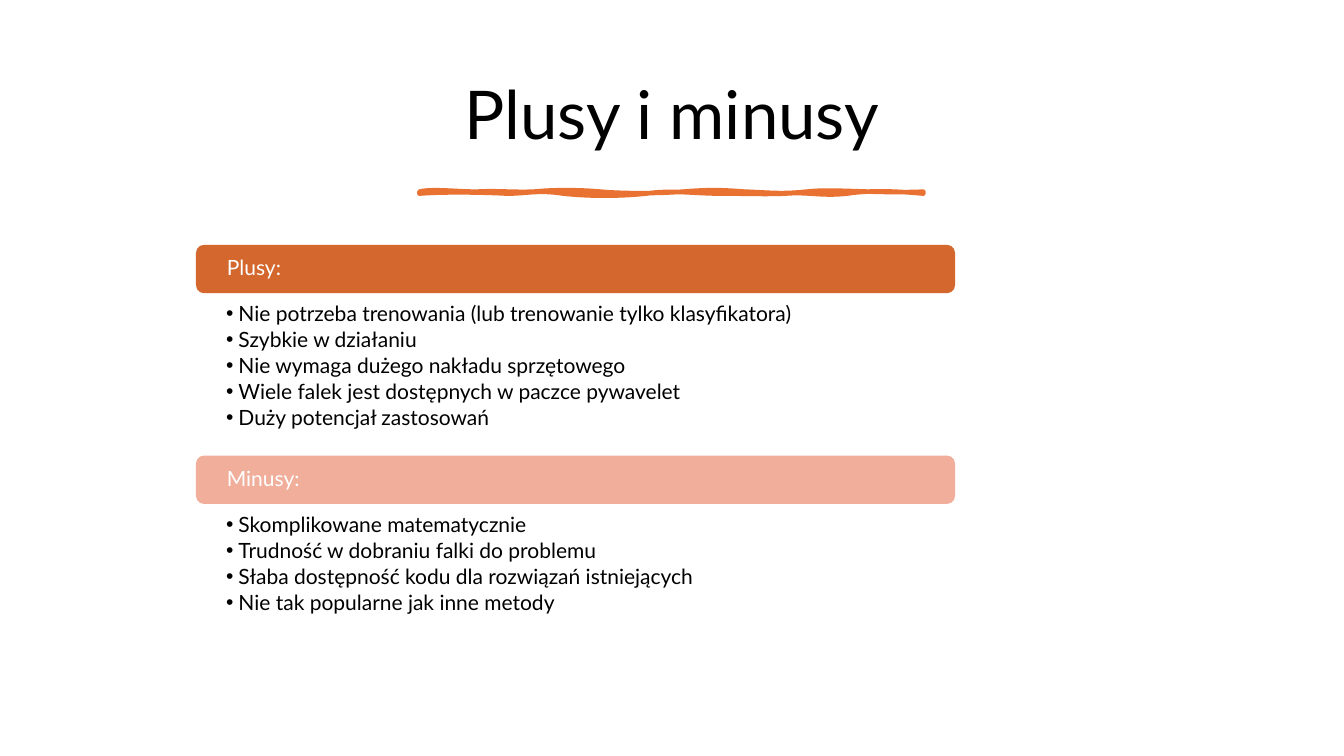
import lxml.etree
import pptx
import pptx.dml.color
import pptx.enum.shapes
import pptx.enum.text
import pptx.oxml.ns
import pptx.util

Cm = pptx.util.Cm
Pt = pptx.util.Pt
qn = pptx.oxml.ns.qn
MIDDLE = pptx.enum.text.MSO_ANCHOR.MIDDLE
ALIGN = pptx.enum.text.PP_ALIGN

SECTIONS = [
    ("Plusy:", "D3672D", [
        "Nie potrzeba trenowania (lub trenowanie tylko klasyfikatora)",
        "Szybkie w działaniu",
        "Nie wymaga dużego nakładu sprzętowego",
        "Wiele falek jest dostępnych w paczce pywavelet",
        "Duży potencjał zastosowań",
    ]),
    ("Minusy:", "F0AE9B", [
        "Skomplikowane matematycznie",
        "Trudność w dobraniu falki do problemu",
        "Słaba dostępność kodu dla rozwiązań istniejących",
        "Nie tak popularne jak inne metody",
    ]),
]
FIRST_BAR_TOP = 6.17
SECTION_STEP = 5.31
BAR_TO_LIST = 0.61

STROKE_START = (10.57, 4.83)
STROKE_CURVES = [
    ((10.87, 4.75), (11.53, 4.83), (12.01, 4.83)),
    ((12.5, 4.8), (12.93, 4.85), (13.44, 4.83)),
    ((13.94, 4.78), (14.58, 4.78), (15.14, 4.83)),
    ((15.67, 4.88), (16.59, 4.88), (17.2, 4.83)),
    ((17.83, 4.78), (18.14, 4.78), (18.77, 4.83)),
    ((19.38, 4.85), (19.66, 4.9), (20.32, 4.83)),
    ((20.98, 4.75), (22.02, 4.88), (23.27, 4.83)),
    ((23.29, 4.85), (23.27, 4.85), (23.27, 4.88)),
    ((22.73, 4.83), (21.97, 4.78), (21.34, 4.88)),
    ((20.7, 4.95), (20.35, 4.83), (19.79, 4.88)),
    ((19.2, 4.9), (18.97, 4.88), (18.21, 4.88)),
    ((17.45, 4.88), (16.94, 4.78), (16.28, 4.88)),
    ((15.6, 4.95), (14.86, 4.95), (14.2, 4.88)),
    ((13.56, 4.78), (13.28, 4.88), (12.78, 4.88)),
    ((12.27, 4.85), (11.13, 4.83), (10.57, 4.88)),
    ((10.57, 4.85), (10.57, 4.83), (10.57, 4.83)),
]


def color(hex_value):
    return pptx.dml.color.RGBColor.from_string(hex_value)


def apply_format(target, values):
    for name, value in values.items():
        setattr(target, name, value)


def paint(shape, hex_value):
    shape.fill.solid()
    shape.fill.fore_color.rgb = color(hex_value)


def place(shape, left, top, width, height):
    apply_format(shape, {"left": Cm(left), "top": Cm(top),
                         "width": Cm(width), "height": Cm(height)})


def set_frame(frame, left, top, right, bottom, anchor):
    apply_format(frame, {
        "margin_left": Cm(left), "margin_top": Cm(top),
        "margin_right": Cm(right), "margin_bottom": Cm(bottom),
        "vertical_anchor": anchor, "word_wrap": True,
        "auto_size": pptx.enum.text.MSO_AUTO_SIZE.NONE,
    })


def write(paragraph, text, size, hex_value, align=ALIGN.LEFT, after=0):
    apply_format(paragraph, {"alignment": align, "line_spacing": 0.9,
                             "space_before": Pt(0), "space_after": Pt(after)})
    run = paragraph.add_run()
    run.text = text
    apply_format(run.font, {"name": "Lato", "size": Pt(size)})
    run.font.color.rgb = color(hex_value)


def add_title(slide, text):
    title = slide.shapes.title
    place(title, 1.78, 1.23, 30.3, 3.48)
    set_frame(title.text_frame, 0.25, 0.13, 0.25, 0.13, MIDDLE)
    write(title.text_frame.paragraphs[0], text, 48, "000000", ALIGN.CENTER)


def bend_segments(shape):
    segments = list(shape._element.iter(qn("a:lnTo")))
    for first in range(0, len(segments), 3):
        curve = lxml.etree.Element(qn("a:cubicBezTo"))
        segments[first].addprevious(curve)
        for segment in segments[first:first + 3]:
            curve.append(segment[0])
            segment.getparent().remove(segment)


def add_brush_stroke(slide, hex_value):
    builder = slide.shapes.build_freeform(*map(Cm, STROKE_START))
    builder.add_line_segments(
        [(Cm(x), Cm(y)) for curve in STROKE_CURVES for x, y in curve])
    stroke = builder.convert_to_shape()
    bend_segments(stroke)
    stroke.shadow.inherit = False
    paint(stroke, hex_value)
    stroke.line.color.rgb = color(hex_value)
    stroke.line.width = Pt(3.25)


def add_bar(slide, top, label, hex_value):
    bar = slide.shapes.add_shape(
        pptx.enum.shapes.MSO_SHAPE.ROUNDED_RECTANGLE,
        Cm(4.94), Cm(top), Cm(19.13), Cm(1.22))
    bar.shadow.inherit = False
    paint(bar, hex_value)
    bar.line.fill.background()
    set_frame(bar.text_frame, 0.72, 0, 0.72, 0, MIDDLE)
    write(bar.text_frame.paragraphs[0], label, 15, "FFFFFF", after=5.25)


def fill_list(body, top, items):
    place(body, 3.58, top, 27.33, 4.47)
    paint(body, "FFFFFF")
    white = body._element.spPr.find(".//" + qn("a:srgbClr"))
    lxml.etree.SubElement(white, qn("a:alpha"), val="90000")
    frame = body.text_frame
    set_frame(frame, 2.12, 0.86, 2.12, 0.3, pptx.enum.text.MSO_ANCHOR.TOP)
    for index, item in enumerate(items):
        paragraph = frame.add_paragraph() if index else frame.paragraphs[0]
        properties = paragraph._p.get_or_add_pPr()
        properties.set("marL", str(Cm(0.31)))
        properties.set("indent", str(Cm(-0.31)))
        write(paragraph, item, 15, "000000", after=2.4)


def main():
    presentation = pptx.Presentation()
    apply_format(presentation, {"slide_width": Cm(33.87), "slide_height": Cm(19.05)})
    slide = presentation.slides.add_slide(presentation.slide_layouts[3])
    add_title(slide, "Plusy i minusy")
    add_brush_stroke(slide, "E97132")
    for index, (label, bar_color, items) in enumerate(SECTIONS):
        top = FIRST_BAR_TOP + index * SECTION_STEP
        fill_list(slide.placeholders[index + 1], top + BAR_TO_LIST, items)
        add_bar(slide, top, label, bar_color)
    presentation.save("out.pptx")


if __name__ == "__main__":
    main()
